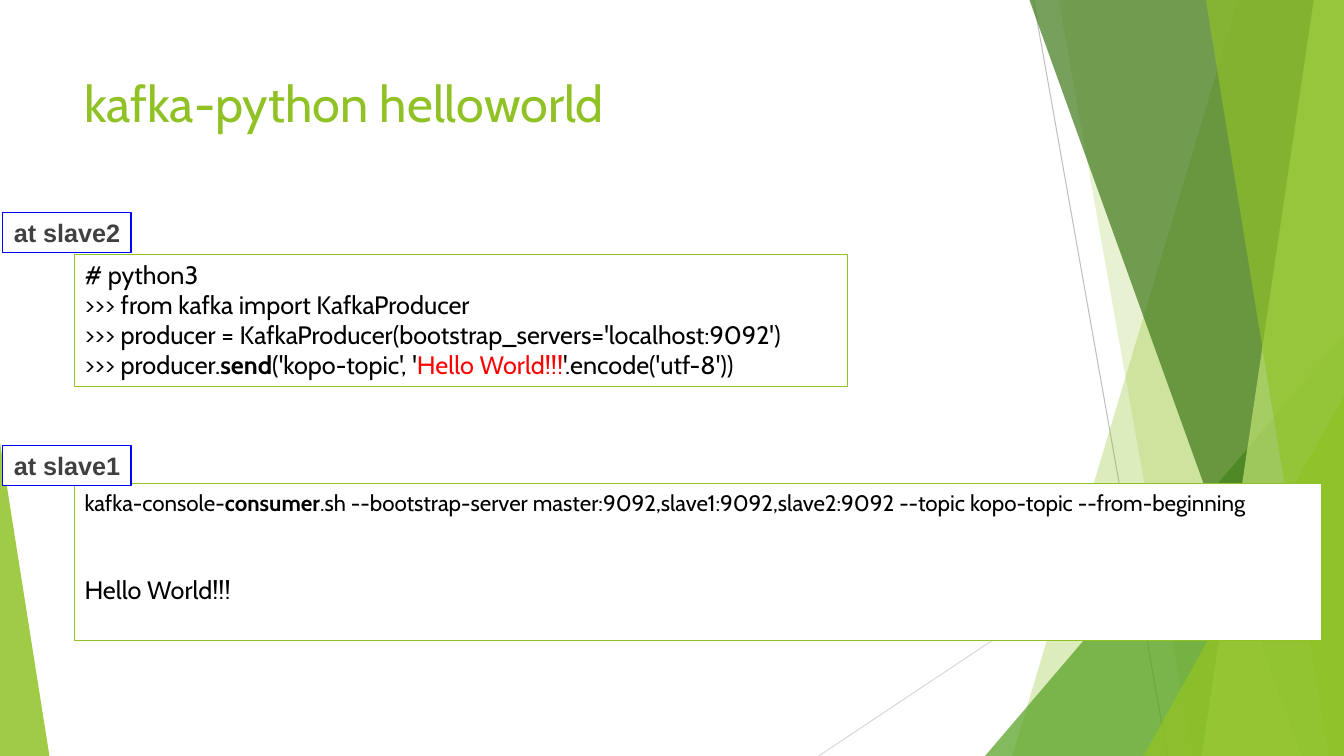
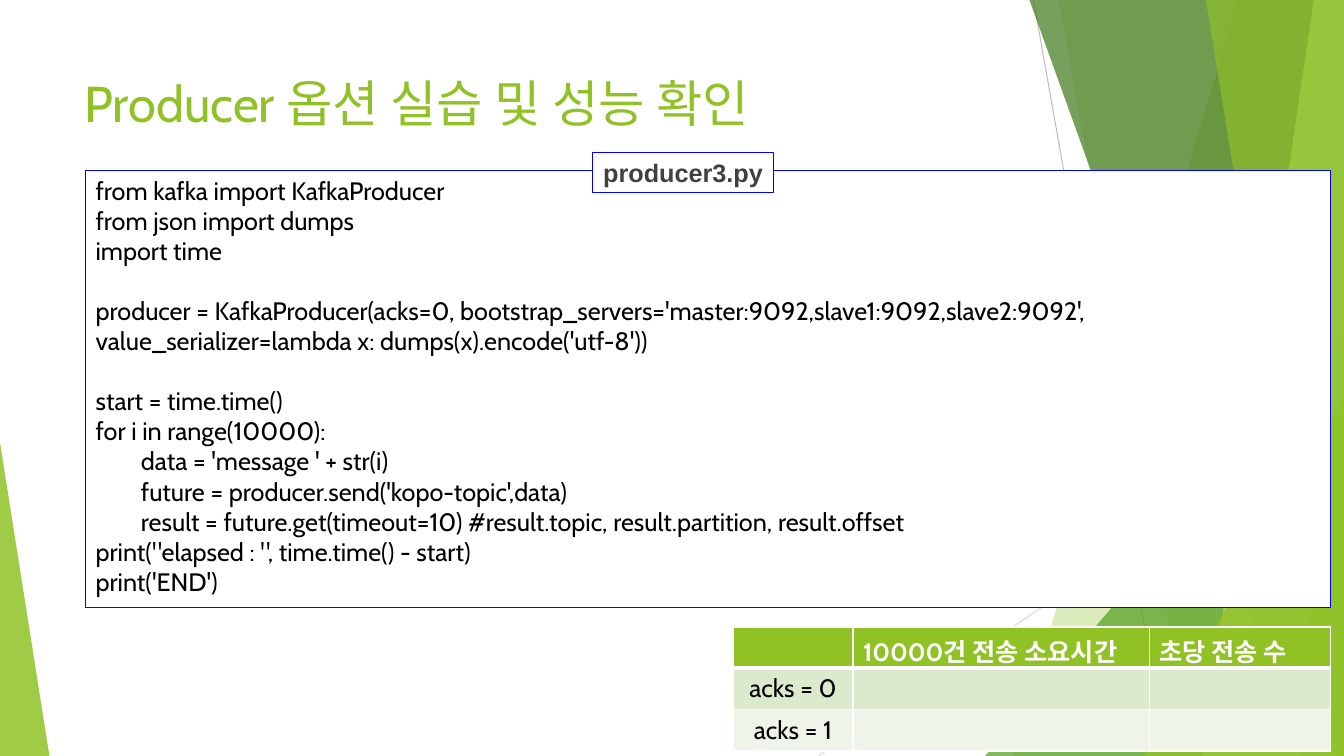
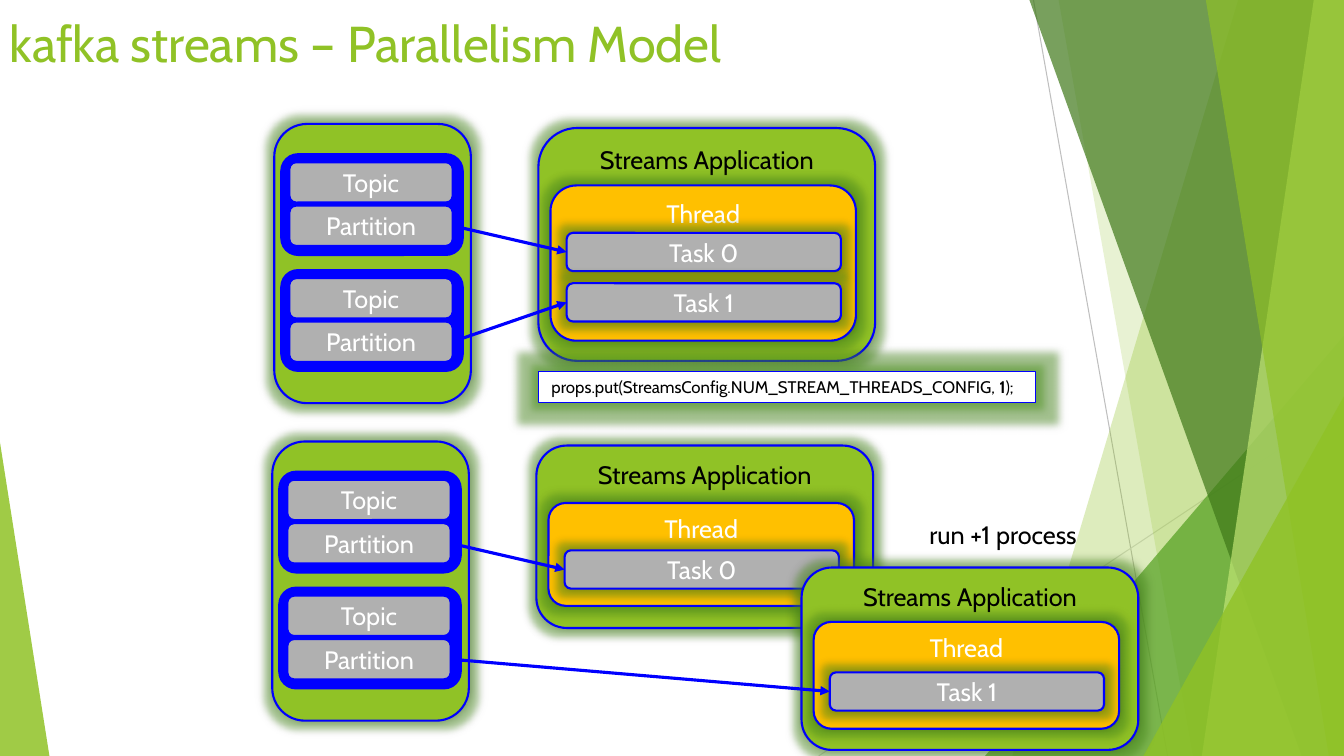
from lxml import etree
from pptx import Presentation
from pptx.dml.color import RGBColor
from pptx.enum.shapes import MSO_CONNECTOR, MSO_SHAPE
from pptx.enum.text import MSO_ANCHOR, PP_ALIGN
from pptx.oxml.ns import qn
from pptx.util import Inches, Pt

RECT = MSO_SHAPE.RECTANGLE
ROUND = MSO_SHAPE.ROUNDED_RECTANGLE
SOFT = MSO_SHAPE.FLOWCHART_ALTERNATE_PROCESS
WEDGE = MSO_SHAPE.ISOSCELES_TRIANGLE
LINE = MSO_CONNECTOR.STRAIGHT
LEFT, MID = PP_ALIGN.LEFT, PP_ALIGN.CENTER
TOP, HALF = MSO_ANCHOR.TOP, MSO_ANCHOR.MIDDLE

HUES = {
    "lime": "90C226", "leaf": "54A021", "moss": "3F7819", "pale": "C0E474",
    "blue": "0000FF", "gold": "FFC000", "gray": "B0B0B0", "red": "FF0000",
    "ink": "000000", "dark": "404040", "white": "FFFFFF",
    "mist": "BFBFBF", "fog": "D9D9D9", "band": "DBE9CD", "tint": "EEF4E8",
}
RGB = {name: RGBColor.from_string(code) for name, code in HUES.items()}
WIDE, HIGH = 13.33, 7.5


def box(page, kind, dims, fill, edge=None, width=1.5, glow=False):
    shape = page.shapes.add_shape(kind, *map(Inches, dims))
    shape.shadow.inherit = False
    shape.fill.solid()
    shape.fill.fore_color.rgb = RGB[fill]
    if edge:
        shape.line.color.rgb = RGB[edge]
        shape.line.width = Pt(width)
    else:
        shape.line.fill.background()
    if glow:
        effects = shape.element.spPr.find(qn("a:effectLst"))
        halo = etree.SubElement(effects, qn("a:glow"), rad=str(Inches(0.14)))
        shade = etree.SubElement(effects, qn("a:outerShdw"), blurRad=str(Pt(5)), dist="0", dir="0")
        for part, hue in ((halo, "leaf"), (shade, "ink")):
            color = etree.SubElement(part, qn("a:srgbClr"), val=HUES[hue])
            etree.SubElement(color, qn("a:alpha"), val="40000")
    return shape


def write(shape, rows, hue="ink", size=18, face="Cabin", bold=False, align=LEFT, anchor=TOP, pad=0.1):
    frame = shape.text_frame
    frame.word_wrap = True
    frame.vertical_anchor = anchor
    frame.margin_left = frame.margin_right = Inches(pad)
    gap, para = 0, None
    for row in rows:
        if not row:
            gap += 21
            continue
        para = frame.add_paragraph() if para else frame.paragraphs[0]
        para.alignment = align
        if gap:
            para.space_before = Pt(gap)
        gap = 0
        for text, heavy, tone in [(row, bold, hue)] if isinstance(row, str) else row:
            run = para.add_run()
            run.text = text
            run.font.name = face
            run.font.size = Pt(size)
            run.font.bold = heavy
            run.font.color.rgb = RGB[tone]


deck = Presentation()
deck.slide_width, deck.slide_height = Inches(WIDE), Inches(HIGH)
blank = deck.slide_layouts[6]
for holder in list(blank.placeholders):
    blank.shapes.element.remove(holder.element)

titles = (
    ("kafka-python helloworld", (0.74, 0.67, 9.4, 1.44)),
    ("Producer 옵션 실습 및 성능 확인", (0.74, 0.67, 11.32, 1.44)),
    ("kafka streams – Parallelism Model", (0, 0.07, 9.4, 0.8)),
)
hello, speed, model = pages = [deck.slides.add_slide(blank) for title in titles]

rays = (((10.25, 0, 11.58, HIGH), "mist"), ((WIDE, 4.03, 8.12, HIGH), "fog"))
for ends, hue in rays:
    ray = hello.shapes.add_connector(LINE, *map(Inches, ends))
    ray.line.color.rgb = RGB[hue]
    ray.line.width = Pt(0.75)
    etree.SubElement(ray.element.spPr, qn("a:effectLst"))
    blank.shapes.element.append(ray.element)

facets = (
    ((12.28, 10.04), "lime", 30),
    ((10.5, 11.83), "lime", 20),
    ((9.77, 3.33, 3.56, 4.17, 1), "leaf", 72),
    ((10.21, 12.91), "moss", 70),
    ((13.03, 11.92), "pale", 70),
    ((11.96, 13.18), "lime", 65),
    ((11.34, 3.93, 1.99, 3.57, 1), "lime", 80),
    ((0, 4.39, 0.49, 3.11, 0), "lime", 85),
)
for dims, hue, alpha in facets:
    if len(dims) == 2:
        upper, lower = dims
        path = hello.shapes.build_freeform(Inches(upper), 0)
        spots = ((WIDE, 0), (WIDE, HIGH), (lower, HIGH))
        path.add_line_segments([(Inches(x), Inches(y)) for x, y in spots])
        facet = path.convert_to_shape()
        facet.shadow.inherit = False
        facet.fill.solid()
        facet.fill.fore_color.rgb = RGB[hue]
        facet.line.fill.background()
    else:
        facet = box(hello, WEDGE, dims[:4], hue)
        facet.adjustments[0] = dims[4]
    color = facet.element.spPr.find(".//" + qn("a:srgbClr"))
    etree.SubElement(color, qn("a:alpha"), val=str(alpha * 1000))
    blank.shapes.element.append(facet.element)

for page, (text, dims) in zip(pages, titles):
    write(page.shapes.add_textbox(*map(Inches, dims)), [text], "lime", 36)

send = [
    "# python3",
    ">>> from kafka import KafkaProducer",
    ">>> producer = KafkaProducer(bootstrap_servers='localhost:9092')",
    [
        (">>> producer.", False, "ink"), ("send", True, "ink"),
        ("('kopo-topic', '", False, "ink"), ("Hello World!!!", False, "red"),
        ("'.encode('utf-8'))", False, "ink"),
    ],
]
write(box(hello, RECT, (0.74, 2.52, 7.67, 1.31), "white", "lime", 0.75), send)

read = [
    [
        ("kafka-console-", False, "ink"), ("consumer", True, "ink"),
        (".sh --bootstrap-server master:9092,slave1:9092,slave2:9092"
         " --topic kopo-topic --from-beginning", False, "ink"),
    ],
    "",
    "",
    "Hello World!!!",
]
shell = box(hello, RECT, (0.74, 4.8, 12.37, 1.55), "white", "lime", 0.75)
write(shell, read, size=16)
shell.text_frame.paragraphs[-1].runs[0].font.size = Pt(18)

code = [
    "from kafka import KafkaProducer",
    "from json import dumps",
    "import time",
    "",
    "producer = KafkaProducer(acks=0, bootstrap_servers='master:9092,slave1:9092,slave2:9092', "
    "value_serializer=lambda x: dumps(x).encode('utf-8'))",
    "",
    "start = time.time()",
    "for i in range(10000):",
    "        data = 'message ' + str(i)",
    "        future = producer.send('kopo-topic',data)",
    "        result = future.get(timeout=10) #result.topic, result.partition, result.offset",
    "print(\"elapsed : \", time.time() - start)",
    "print('END')",
]
write(box(speed, RECT, (0.85, 1.69, 12.35, 4.34), "white", "blue", 0.75), code)

tags = (
    (hello, "at slave2", (0.03, 2.11, 1.27, 0.4)),
    (hello, "at slave1", (0.03, 4.42, 1.27, 0.4)),
    (speed, "producer3.py", (5.88, 1.51, 1.79, 0.4)),
)
for page, text, dims in tags:
    tag = box(page, RECT, dims, "white", "blue", 0.75)
    write(tag, [text], "dark", face="Arial", bold=True, align=MID, pad=0.02)

cells = (
    ("", "10000건 전송 소요시간", "초당 전송 수"),
    ("acks = 0", "", ""),
    ("acks = 1", "", ""),
)
table = speed.shapes.add_table(3, 3, *map(Inches, (7.27, 6.22, 5.93, 1.22))).table
for col, width in zip(table.columns, (1.19, 2.94, 1.8)):
    col.width = Inches(width)
for r, (row, fill) in enumerate(zip(cells, ("lime", "band", "tint"))):
    table.rows[r].height = Inches(0.41)
    for c, text in enumerate(row):
        cell = table.cell(r, c)
        cell.text = text
        para = cell.text_frame.paragraphs[0]
        para.alignment = MID if r else LEFT
        para.font.size = Pt(18)
        for run in para.runs:
            run.font.name = "Cabin"
            run.font.size = Pt(18)
            run.font.bold = r == 0
            run.font.color.rgb = RGB["ink" if r else "white"]
        props = cell._tc.get_or_add_tcPr()
        for side in ("lnL", "lnR", "lnT", "lnB"):
            thick = (side, r) in (("lnB", 0), ("lnT", 1))
            rule = etree.SubElement(props, qn("a:" + side), w=str(Pt(3 if thick else 1)))
            solid = etree.SubElement(rule, qn("a:solidFill"))
            etree.SubElement(solid, qn("a:srgbClr"), val=HUES["white"])
        cell.fill.solid()
        cell.fill.fore_color.rgb = RGB[fill]

note = model.shapes.add_textbox(*map(Inches, (9.12, 5.1, 1.83, 0.4)))
write(note, ["run +1 process"])

parts = []
for left, top in ((2.72, 1.23), (2.7, 4.38)):
    box(model, SOFT, (left, top, 1.95, 2.77), "lime", "blue", glow=True)
    for k in range(2):
        y = top + 0.3 + 1.15 * k
        box(model, ROUND, (left + 0.07, y, 1.8, 1), "blue", "blue")
        for text, drop in (("Topic", 0.08), ("Partition", 0.51)):
            part = box(model, SOFT, (left + 0.15, y + drop, 1.62, 0.4), "gray", "blue")
            write(part, [text], "white", align=MID, anchor=HALF)
        parts.append(part)

apps = (
    (5.34, 1.27, 2.31, 0.57, 1.54, ("Task 0", "Task 1")),
    (5.32, 4.42, 1.81, 0.57, 1.02, ("Task 0",)),
    (7.95, 5.63, 1.81, 0.54, 1.06, ("Task 1",)),
)
tasks = []
for left, top, high, drop, deep, names in apps:
    app = box(model, ROUND, (left, top, 3.34, high), "lime", "blue", glow=True)
    write(app, ["Streams Application"], align=MID)
    thread = box(model, ROUND, (left + 0.12, top + drop, 3.03, deep), "gold", "blue", glow=True)
    write(thread, ["Thread"], "white", align=MID)
    for k, name in enumerate(names):
        dims = (left + 0.28, top + 1.04 + 0.5 * k, 2.72, 0.38)
        task = box(model, SOFT, dims, "gray", "blue", glow=True)
        write(task, [name], "white", align=MID, anchor=HALF)
        tasks.append(task)

for part, task in zip(parts, tasks):
    link = model.shapes.add_connector(LINE, 0, 0, 0, 0)
    link.begin_connect(part, 3)
    link.end_connect(task, 1)
    link.line.color.rgb = RGB["blue"]
    link.line.width = Pt(2.25)
    props = link.element.spPr
    etree.SubElement(props.find(qn("a:ln")), qn("a:tailEnd"), type="triangle")
    etree.SubElement(props, qn("a:effectLst"))

setting = [[
    ("props.put(StreamsConfig.NUM_STREAM_THREADS_CONFIG, ", False, "ink"),
    ("1", True, "ink"), (");", False, "ink"),
]]
strip = box(model, RECT, (5.34, 3.69, 4.93, 0.3), "white", "blue", 0.75, True)
write(strip, setting, size=12, pad=0.13)

deck.save("out.pptx")
